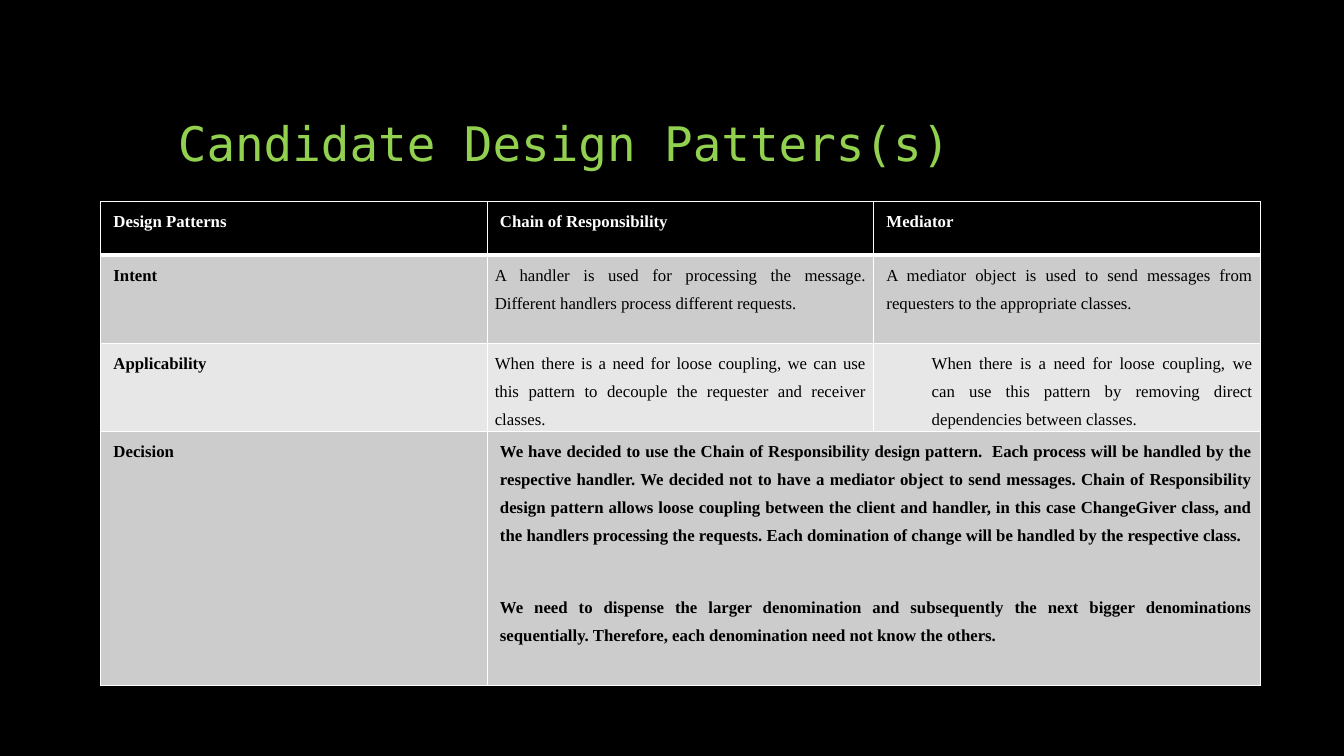
from lxml.etree import SubElement
from pptx import Presentation
from pptx.dml.color import RGBColor
from pptx.enum.text import MSO_ANCHOR, MSO_AUTO_SIZE, PP_ALIGN
from pptx.oxml.ns import qn
from pptx.util import Cm, Pt

BLACK = RGBColor(0x00, 0x00, 0x00)
WHITE = RGBColor(0xFF, 0xFF, 0xFF)
GREEN = RGBColor(0x92, 0xD0, 0x50)
DARK_BAND = RGBColor(0xCC, 0xCC, 0xCC)
LIGHT_BAND = RGBColor(0xE7, 0xE7, 0xE7)

TITLE = "Candidate Design Patters(s)"
HEADINGS = ["Design Patterns", "Chain of Responsibility", "Mediator"]
INTENT = [
    "Intent",
    "A handler is used for processing the message. Different handlers process different requests.",
    "A mediator object is used to send messages from requesters to the appropriate classes.",
]
APPLICABILITY = [
    "Applicability",
    "When there is a need for loose coupling, we can use this pattern to decouple "
    "the requester and receiver classes.",
    "When there is a need for loose coupling, we can use this pattern by removing "
    "direct dependencies between classes.",
]
DECISION = [
    "Decision",
    "We have decided to use the Chain of Responsibility design pattern.  Each process will be "
    "handled by the respective handler. We decided not to have a mediator object to send messages. "
    "Chain of Responsibility design pattern allows loose coupling between the client and handler, "
    "in this case ChangeGiver class, and the handlers processing the requests. Each domination of "
    "change will be handled by the respective class.\n"
    "We need to dispense the larger denomination and subsequently the next bigger denominations "
    "sequentially. Therefore, each denomination need not know the others.",
    "",
]
ROWS = [HEADINGS, INTENT, APPLICABILITY, DECISION]
ROW_HEIGHTS = [Cm(1.35), Cm(2.22), Cm(2.22), Cm(6.4)]
ROW_FILLS = [BLACK, DARK_BAND, LIGHT_BAND, DARK_BAND]
COLUMN_WIDTH = Cm(9.74)
USUAL_INDENT = Cm(0.13)
INDENTS = {(1, 1): 0, (2, 1): 0, (2, 2): Cm(1.27)}
DECISION_GAP = Pt(25.5)


def add_borders(cell, row):
    widths = {
        "a:lnL": 1,
        "a:lnR": 1,
        "a:lnT": 3 if row == 1 else 1,
        "a:lnB": 3 if row == 0 else 1,
    }
    properties = cell._tc.get_or_add_tcPr()
    for side, width in widths.items():
        border = SubElement(properties, qn(side), w=str(Pt(width)))
        paint = SubElement(border, qn("a:solidFill"))
        SubElement(paint, qn("a:srgbClr"), val=str(WHITE))


def write_cell(cell, text, row, column):
    cell.margin_left = cell.margin_right = Cm(0.19)
    cell.margin_top = cell.margin_bottom = Cm(0.05)
    cell.vertical_anchor = MSO_ANCHOR.TOP
    add_borders(cell, row)
    cell.fill.solid()
    cell.fill.fore_color.rgb = ROW_FILLS[row]
    if not text:
        return
    indent = INDENTS.get((row, column), USUAL_INDENT)
    frame = cell.text_frame
    for index, words in enumerate(text.split("\n")):
        paragraph = frame.add_paragraph() if index else frame.paragraphs[0]
        paragraph.alignment = PP_ALIGN.JUSTIFY
        paragraph.line_spacing = 1.5
        paragraph.space_before = DECISION_GAP if index else Pt(0)
        paragraph.space_after = Pt(6) if indent == USUAL_INDENT else Pt(0)
        paragraph._p.get_or_add_pPr().set("marL", str(indent))
        run = paragraph.add_run()
        run.text = words
        run.font.name = "Times New Roman"
        run.font.size = Pt(12)
        run.font.bold = row in (0, 3) or column == 0
        run.font.color.rgb = WHITE if row == 0 else BLACK


def add_title(slide):
    title = slide.shapes.title
    title.left, title.top, title.width, title.height = Cm(4.23), Cm(1.27), Cm(25.4), Cm(3.18)
    frame = title.text_frame
    frame.word_wrap = True
    frame.auto_size = MSO_AUTO_SIZE.NONE
    frame.vertical_anchor = MSO_ANCHOR.BOTTOM
    heading = frame.paragraphs[0]
    heading.alignment = PP_ALIGN.LEFT
    heading.line_spacing = 0.9
    run = heading.add_run()
    run.text = TITLE
    run.font.name = "DejaVu Sans Mono"
    run.font.size = Pt(34)
    run.font.color.rgb = GREEN


def add_patterns(slide):
    columns = len(HEADINGS)
    patterns = slide.shapes.add_table(
        len(ROWS), columns, Cm(2.54), Cm(5.08), COLUMN_WIDTH * columns, sum(ROW_HEIGHTS)
    ).table
    patterns.first_row = False
    patterns.horz_banding = False
    for column in patterns.columns:
        column.width = COLUMN_WIDTH
    for row, texts in enumerate(ROWS):
        patterns.rows[row].height = ROW_HEIGHTS[row]
        for column, text in enumerate(texts):
            write_cell(patterns.cell(row, column), text, row, column)
    patterns.cell(3, 1).merge(patterns.cell(3, 2))


def main():
    deck = Presentation()
    deck.slide_width, deck.slide_height = Cm(33.87), Cm(19.05)
    slide = deck.slides.add_slide(deck.slide_layouts[5])
    slide.background.fill.solid()
    slide.background.fill.fore_color.rgb = BLACK
    add_title(slide)
    add_patterns(slide)
    deck.save("out.pptx")


if __name__ == "__main__":
    main()
